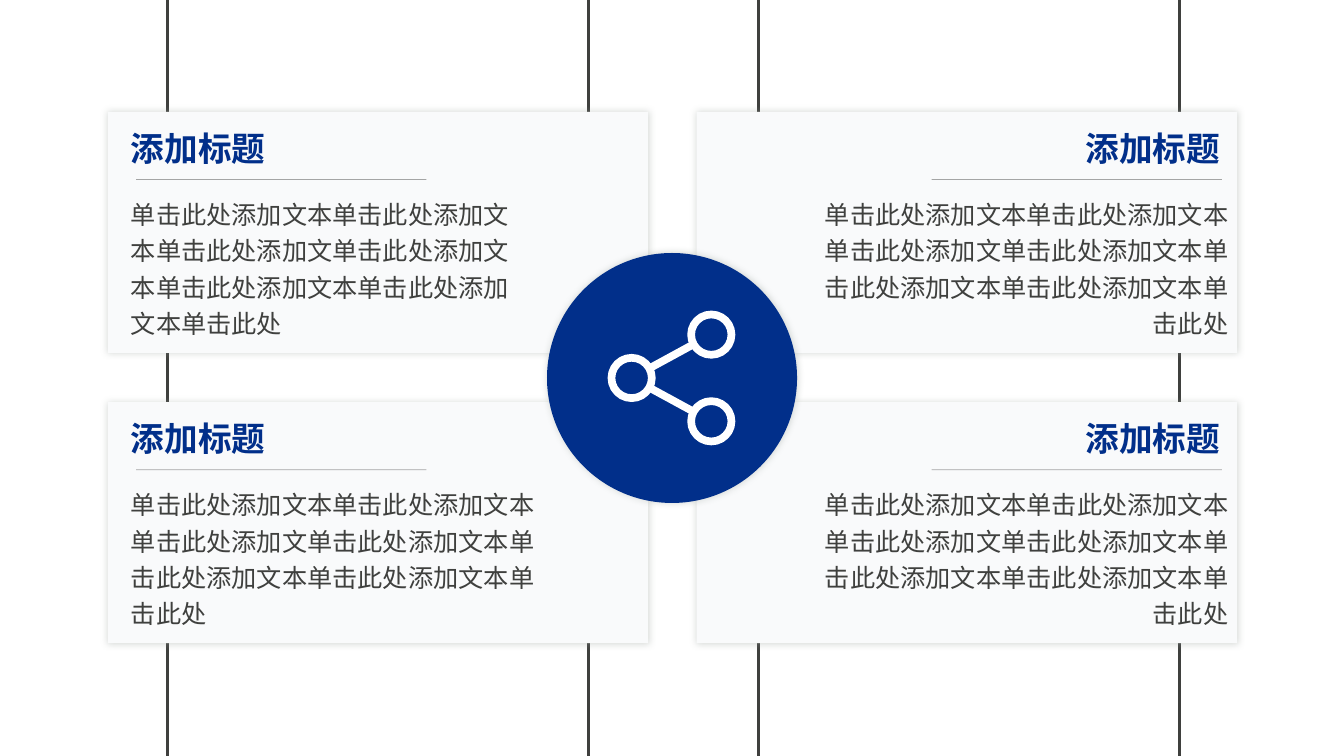
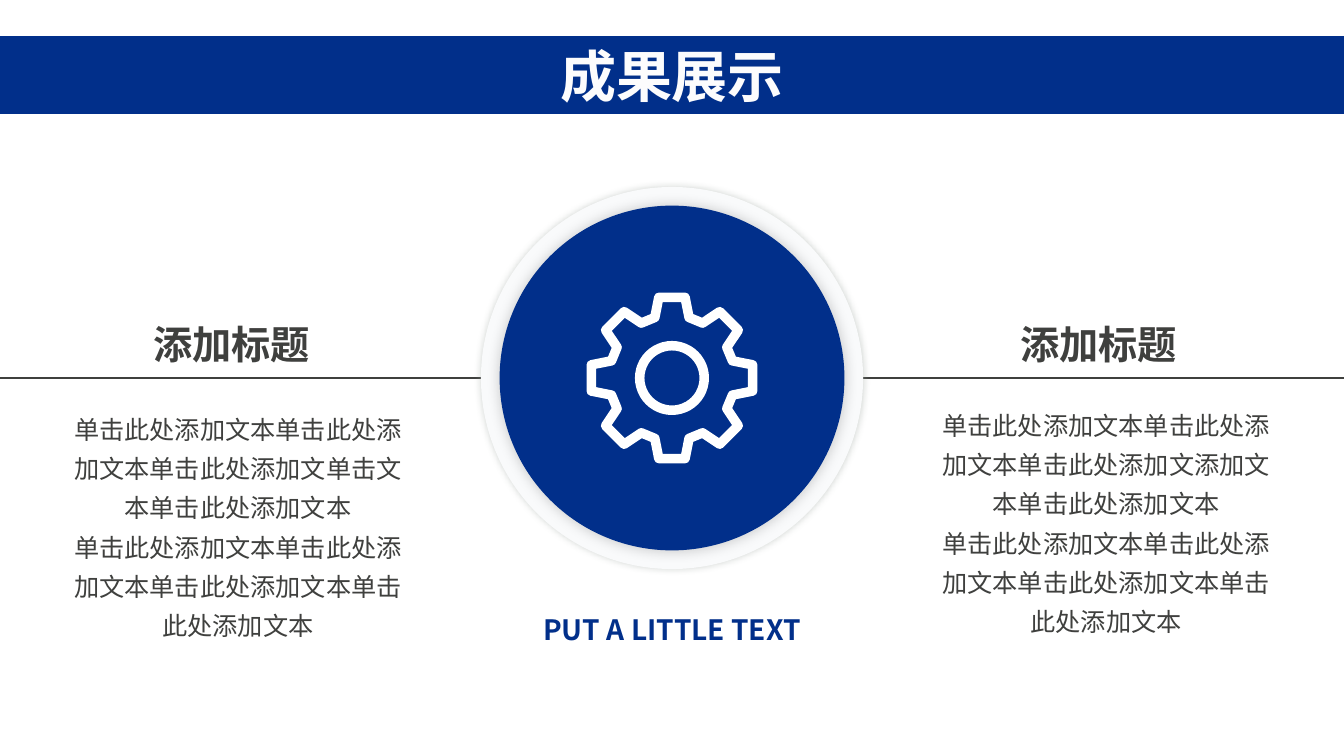
from math import cos, radians, sin

from lxml import etree
from pptx import Presentation
from pptx.dml.color import RGBColor
from pptx.enum.shapes import MSO_CONNECTOR, MSO_SHAPE
from pptx.enum.text import MSO_ANCHOR, MSO_AUTO_SIZE, PP_ALIGN
from pptx.oxml.ns import qn
from pptx.util import Inches, Pt

RECT, OVAL = MSO_SHAPE.RECTANGLE, MSO_SHAPE.OVAL
STRAIGHT = MSO_CONNECTOR.STRAIGHT
LEFT, CENTER, RIGHT = PP_ALIGN.LEFT, PP_ALIGN.CENTER, PP_ALIGN.RIGHT
MIDDLE = MSO_ANCHOR.MIDDLE
GROW = MSO_AUTO_SIZE.SHAPE_TO_FIT_TEXT

FONT = "Noto Sans CJK SC"
COLORS = {"blue": "012F8A", "dark": "3F403E", "card": "F9FAFB", "white": "FFFFFF",
          "title": "FCFCFD", "rule": "262626", "haze": "969F98", "black": "000000"}
SOFT = ("haze", 40, 5)
DEEP = ("black", 20, 10)
SLIDE_W, SLIDE_H = 13.33, 7.5
MID_X, MID_Y = SLIDE_W / 2, SLIDE_H / 2

HEADING = "添加标题"
CARD_TEXT = ("单击此处添加文本单击此处添加文本单击此处添加文单击此处添加文本"
             "单击此处添加文本单击此处添加文本单击此处")
SECOND_PARAGRAPH = "单击此处添加文本单击此处添加文本单击此处添加文本单击此处添加文本"


# Shared drawing helpers
def rgb(name):
    return RGBColor.from_string(COLORS[name])


def add_alpha(color_element, percent):
    etree.SubElement(color_element, qn("a:alpha"), val=str(percent * 1000))


def add_glow(shape, color, percent, blur):
    effects = shape._element.spPr.find(qn("a:effectLst"))
    outer = etree.SubElement(effects, qn("a:outerShdw"), blurRad=str(Pt(blur)),
                             dist="0", dir="0", algn="ctr", rotWithShape="0")
    add_alpha(etree.SubElement(outer, qn("a:srgbClr"), val=COLORS[color]), percent)


def style(shape, fill=None, line=None, width=1, glow=None):
    shape.shadow.inherit = False
    if fill:
        shape.fill.solid()
        shape.fill.fore_color.rgb = rgb(fill)
    else:
        shape.fill.background()
    if line:
        shape.line.color.rgb = rgb(line)
        shape.line.width = Pt(width)
    else:
        shape.line.fill.background()
    if glow:
        add_glow(shape, *glow)
    return shape


def add_box(slide, kind, x, y, w, h, **look):
    box = slide.shapes.add_shape(kind, Inches(x), Inches(y), Inches(w), Inches(h))
    return style(box, **look)


def add_circle(slide, x, y, radius, **look):
    return add_box(slide, OVAL, x - radius, y - radius, 2 * radius, 2 * radius, **look)


def add_line(slide, x1, y1, x2, y2, color, width, alpha=None):
    line = slide.shapes.add_connector(STRAIGHT, Inches(x1), Inches(y1), Inches(x2), Inches(y2))
    line.line.color.rgb = rgb(color)
    line.line.width = Pt(width)
    properties = line._element.spPr
    if alpha:
        add_alpha(properties.find(".//" + qn("a:srgbClr")), alpha)
    etree.SubElement(properties, qn("a:effectLst"))


def write(frame, paragraphs, size, color, bold=False, align=LEFT, spacing=None):
    for index, words in enumerate(paragraphs):
        paragraph = frame.paragraphs[0] if index == 0 else frame.add_paragraph()
        paragraph.alignment = align
        if spacing:
            paragraph.line_spacing = spacing
        run = paragraph.add_run()
        run.text = words
        run.font.size = Pt(size)
        run.font.bold = bold
        run.font.name = FONT
        run.font.color.rgb = rgb(color)
        etree.SubElement(run.font._element, qn("a:ea"), typeface=FONT)


def add_text(slide, x, y, w, h, paragraphs, size, color, wrap=True, **look):
    frame = slide.shapes.add_textbox(Inches(x), Inches(y), Inches(w), Inches(h)).text_frame
    frame.word_wrap = wrap
    frame.auto_size = GROW
    write(frame, paragraphs, size, color, **look)


# Slide 1: four cards around a share icon
def add_card(slide, x, y, on_right, text_width):
    if on_right:
        align, heading_x, rule_x, body_x = RIGHT, 3.74, 2.33, 1.02
    else:
        align, heading_x, rule_x, body_x = LEFT, 0.13, 0.28, 0.13
    add_box(slide, RECT, x, y, 5.36, 2.39, fill="card", glow=SOFT)
    add_text(slide, x + body_x, y + 0.76, text_width, 1.56, [CARD_TEXT], 18, "dark",
             align=align, spacing=1.2)
    add_text(slide, x + heading_x, y + 0.11, 1.55, 0.5, [HEADING], 24, "blue",
             wrap=False, bold=True, align=align)
    add_line(slide, x + rule_x, y + 0.67, x + rule_x + 2.88, y + 0.67, "rule", 0.5, alpha=40)


def add_share_icon(slide, x, y):
    hub = (x - 0.4, y)
    ends = [(x + 0.39, y - 0.43), (x + 0.39, y + 0.43)]
    for end in ends:
        add_line(slide, *hub, *end, "white", 5.5)
    for node in [hub, *ends]:
        add_circle(slide, *node, 0.2, fill="blue", line="white", width=5.5)


def build_cards_slide(slide):
    for frame_x in (7.52, 1.66):
        add_box(slide, RECT, frame_x, -0.18, 4.18, 7.86, line="dark", width=2)
    for row in range(2):
        for column in range(2):
            text_width = 4.02 if row == column == 0 else 4.35
            add_card(slide, 1.07 + column * 5.84, 1.11 + row * 2.88, column == 1, text_width)
    add_circle(slide, MID_X, MID_Y, 1.24, fill="blue", glow=SOFT)
    add_share_icon(slide, MID_X, MID_Y)


# Slide 2: title band, gear medallion and two text columns
def add_title_band(slide, words):
    band = add_box(slide, RECT, 0, 0.36, SLIDE_W, 0.77, fill="blue")
    band.text_frame.vertical_anchor = MIDDLE
    write(band.text_frame, [words], 40, "title", bold=True, align=CENTER)


def add_gear(slide, x, y):
    tooth = [(-0.17, 0.6), (-0.13, 0.8), (0.13, 0.8), (0.17, 0.6)]
    outline = []
    for step in range(8):
        turn = radians(45 * step)
        outline += [(x + across * cos(turn) + out * sin(turn),
                     y + across * sin(turn) - out * cos(turn)) for across, out in tooth]
    points = [(Inches(px), Inches(py)) for px, py in outline]
    builder = slide.shapes.build_freeform(*points[0])
    builder.add_line_segments(points[1:], close=True)
    rim = style(builder.convert_to_shape(), line="white", width=6.8)
    etree.SubElement(rim.line._get_or_add_ln(), qn("a:round"))
    add_circle(slide, x, y, 0.32, line="white", width=6.8)


def add_medallion(slide, x, y):
    add_circle(slide, x, y, 1.895, fill="card", glow=SOFT)
    add_circle(slide, x, y, 1.71, fill="blue", glow=DEEP)
    add_gear(slide, x, y)


def add_column(slide, heading_x, text_x, text_y, paragraphs):
    add_text(slide, text_x, text_y, 3.48, 2.43, paragraphs, 18, "dark",
             align=CENTER, spacing=1.3)
    add_text(slide, heading_x, 3.13, 1.77, 0.57, [HEADING], 28, "dark", wrap=False, bold=True)


def build_results_slide(slide):
    add_line(slide, 0, MID_Y, 4.77, MID_Y, "dark", 2)
    add_line(slide, SLIDE_W, MID_Y, 8.56, MID_Y, "dark", 2)
    add_medallion(slide, MID_X, MID_Y)
    add_column(slide, 1.42, 0.62, 3.97,
               ["单击此处添加文本单击此处添加文本单击此处添加文单击文本单击此处添加文本",
                SECOND_PARAGRAPH])
    add_column(slide, 10.02, 9.23, 3.93,
               ["单击此处添加文本单击此处添加文本单击此处添加文添加文本单击此处添加文本",
                SECOND_PARAGRAPH])
    add_title_band(slide, "成果展示")
    add_text(slide, 4.89, 5.96, 3.55, 0.47, ["PUT A LITTLE TEXT"], 20, "blue",
             bold=True, align=CENTER, spacing=1.2)


presentation = Presentation()
presentation.slide_width = Inches(SLIDE_W)
presentation.slide_height = Inches(SLIDE_H)
for build in (build_cards_slide, build_results_slide):
    build(presentation.slides.add_slide(presentation.slide_layouts[6]))
presentation.save("out.pptx")
